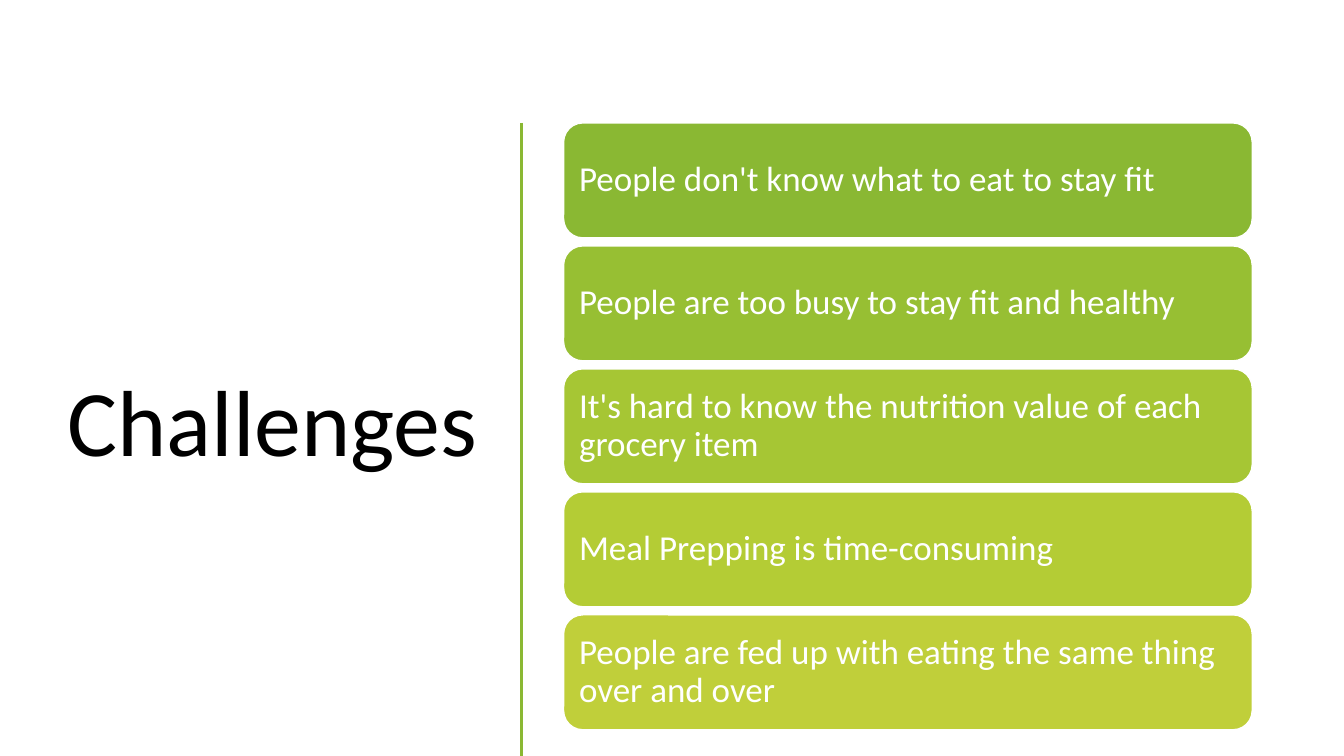
"""Build the Challenges slide: a title beside a stack of coloured cards."""
import pptx
import pptx.dml.color
import pptx.enum.shapes
import pptx.enum.text
import pptx.oxml
import pptx.oxml.ns
import pptx.util

Inches = pptx.util.Inches
PP_ALIGN = pptx.enum.text.PP_ALIGN

TITLE = "Challenges"
CARDS = [
    ("People don't know what to eat to stay fit", "8AB833"),
    ("People are too busy to stay fit and healthy", "97BF33"),
    ("It's hard to know the nutrition value of each grocery item", "A6C634"),
    ("Meal Prepping is time-consuming", "B4CC35"),
    ("People are fed up with eating the same thing over and over", "C0CF3A"),
]
CARD_LEFT, CARD_TOP, CARD_WIDTH, CARD_HEIGHT = 5.59, 1.22, 6.83, 1.14
CARD_PITCH = 1.22
RULE_X, RULE_TOP, RULE_BOTTOM = 5.17, 1.22, 7.5


def rgb(value):
    return pptx.dml.color.RGBColor.from_string(value)


def write(sp, text, size, color, align, margin_x, margin_y):
    tf = sp.text_frame
    tf.word_wrap = True
    tf.vertical_anchor = pptx.enum.text.MSO_ANCHOR.MIDDLE
    tf.margin_left = tf.margin_right = Inches(margin_x)
    tf.margin_top = tf.margin_bottom = Inches(margin_y)
    tf.text = text
    p = tf.paragraphs[0]
    p.alignment = align
    p.line_spacing = 0.9
    font = p.runs[0].font
    font.name = "Calibri"
    font.size = pptx.util.Pt(size)
    font.color.rgb = rgb(color)


def add_rule(s):
    rule = s.shapes.add_connector(
        pptx.enum.shapes.MSO_CONNECTOR.STRAIGHT,
        Inches(RULE_X), Inches(RULE_TOP), Inches(RULE_X), Inches(RULE_BOTTOM))
    rule.line.color.rgb = rgb("8AB833")
    rule.line.width = pptx.util.Pt(2)
    rule._element.spPr.append(
        pptx.oxml.parse_xml("<a:effectLst %s/>" % pptx.oxml.ns.nsdecls("a")))


def add_card(s, index, text, color):
    sp = s.shapes.add_shape(
        pptx.enum.shapes.MSO_SHAPE.ROUNDED_RECTANGLE,
        Inches(CARD_LEFT), Inches(CARD_TOP + index * CARD_PITCH),
        Inches(CARD_WIDTH), Inches(CARD_HEIGHT))
    sp.shadow.inherit = False
    sp.fill.solid()
    sp.fill.fore_color.rgb = rgb(color)
    sp.line.color.rgb = rgb("FFFFFF")
    sp.line.width = pptx.util.Pt(1)
    write(sp, text, 25, "FFFFFF", PP_ALIGN.LEFT, 0.1, 0.1)


def main():
    prs = pptx.Presentation()
    prs.slide_width, prs.slide_height = Inches(13.33), Inches(7.5)
    s = prs.slides.add_slide(prs.slide_layouts[6])
    title = s.shapes.add_textbox(
        Inches(0.52), Inches(1.17), Inches(4.31), Inches(6.11))
    write(title, TITLE, 67, "000000", PP_ALIGN.RIGHT, 0.1, 0.05)
    add_rule(s)
    for index, (text, color) in enumerate(CARDS):
        add_card(s, index, text, color)
    prs.save("out.pptx")


if __name__ == "__main__":
    main()
